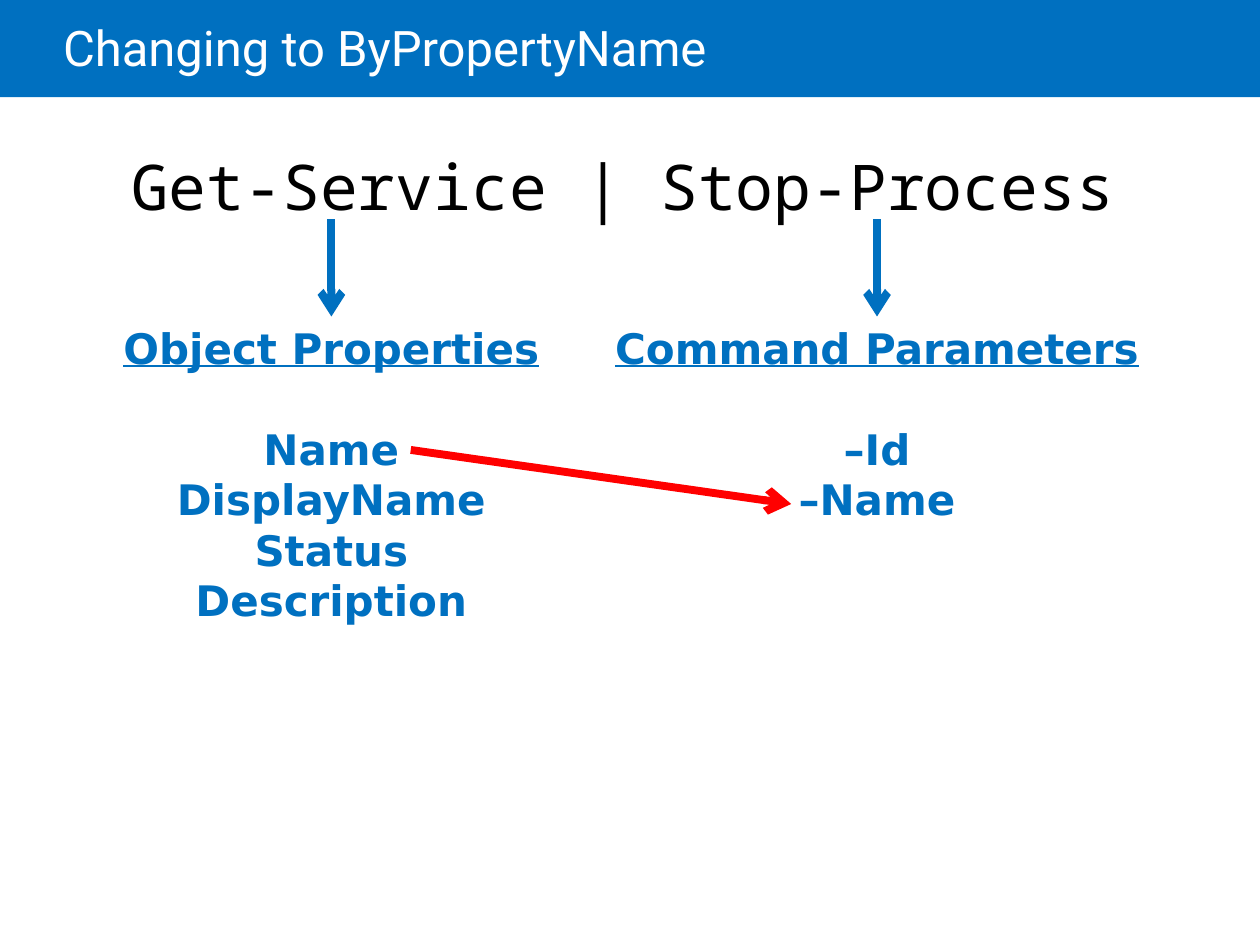
import pptx
import pptx.util
import pptx.dml.color
import pptx.enum.shapes
import pptx.enum.text
import pptx.oxml
import pptx.oxml.ns
from pptx.util import Cm, Pt

# Content
TITLE = "Changing to ByPropertyName"
COMMAND = "Get-Service | Stop-Process"
# heading, entries, left, width, height (cm)
COLUMNS = [
    ("Object Properties", ["Name", "DisplayName", "Status", "Description"], 1.68, 10.0, 6.4),
    ("Command Parameters", ["–Id", "–Name"], 11.68, 12.0, 4.37),
]
COLORS = {"blue": "0070C0", "white": "FFFFFF", "black": "000000", "red": "FF0000"}
COLUMN_TOP, ARROW_TOP = 6.38, 4.42
MATCH_START, MATCH_END = (8.28, 9.07), (15.95, 10.16)
LINE_HEIGHT = Pt(28.8)
ALIGN = pptx.enum.text.PP_ALIGN


def color(name):
    return pptx.dml.color.RGBColor.from_string(COLORS[name])


def place(shape, left, top, width, height):
    shape.left, shape.top = Cm(left), Cm(top)
    shape.width, shape.height = Cm(width), Cm(height)


def write(para, text, font, size, ink, bold=False, underline=False, align=ALIGN.CENTER,
          before=0, after=0, spacing=1.0):
    para.alignment = align
    para.space_before, para.space_after = Pt(before), after
    para.line_spacing = spacing
    span = para.add_run()
    span.text = text
    span.font.name, span.font.size = font, Pt(size)
    span.font.bold, span.font.underline = bold, underline
    span.font.color.rgb = color(ink)


def add_arrow(page, start, end, ink):
    line = page.shapes.add_connector(
        pptx.enum.shapes.MSO_CONNECTOR.STRAIGHT, *map(Cm, start + end))
    line.line.color.rgb = color(ink)
    line.line.width = Pt(4.5)
    tail = pptx.oxml.ns.qn("a:tailEnd")
    line.line._get_or_add_ln().makeelement(tail)
    outline = line.line._get_or_add_ln()
    outline.append(outline.makeelement(tail, {"type": "arrow"}))
    properties = outline.getparent()
    properties.append(properties.makeelement(pptx.oxml.ns.qn("a:effectLst")))


def main():
    deck = pptx.Presentation()
    deck.slide_width, deck.slide_height = Cm(25.4), Cm(19.05)
    page = deck.slides.add_slide(deck.slide_layouts[1])
    title, body = page.placeholders

    # Title band, behind the title
    band = page.shapes.add_shape(
        pptx.enum.shapes.MSO_SHAPE.RECTANGLE, 0, 0, deck.slide_width, Cm(1.96))
    band.shadow.inherit = False
    band.fill.solid()
    band.fill.fore_color.rgb = color("blue")
    band.line.fill.background()
    title.element.addprevious(band.element)

    # Title
    place(title, 1.27, 0, 21.59, 2.06)
    frame = title.text_frame
    frame.margin_left = 0
    frame.vertical_anchor = pptx.enum.text.MSO_ANCHOR.MIDDLE
    frame.auto_size = pptx.enum.text.MSO_AUTO_SIZE.NONE
    write(frame.paragraphs[0], TITLE, "Roboto", 28, "white", align=ALIGN.LEFT, spacing=0.85)

    # Command line, without a bullet
    place(body, 1.27, 2.84, 22.56, 14.3)
    body.text_frame.auto_size = pptx.enum.text.MSO_AUTO_SIZE.NONE
    para = body.text_frame.paragraphs[0]
    write(para, COMMAND, "Noto Sans Mono", 36, "black", before=6)
    settings = para._p.get_or_add_pPr()
    settings.set("marL", "0")
    settings.set("indent", "0")
    settings.append(settings.makeelement(pptx.oxml.ns.qn("a:buNone")))

    # Columns, each with an arrow down to its heading
    for heading, entries, left, width, height in COLUMNS:
        box = page.shapes.add_textbox(0, 0, 0, 0)
        place(box, left, COLUMN_TOP, width, height)
        frame = box.text_frame
        frame.word_wrap = True
        style = dict(font="DejaVu Sans", size=24, ink="blue", bold=True, spacing=LINE_HEIGHT)
        write(frame.paragraphs[0], heading, underline=True, after=LINE_HEIGHT, **style)
        for entry in entries:
            write(frame.add_paragraph(), entry, **style)
        center = left + width / 2
        add_arrow(page, (center, ARROW_TOP), (center, COLUMN_TOP), "blue")

    # Matching names
    add_arrow(page, MATCH_START, MATCH_END, "red")

    deck.save("out.pptx")


if __name__ == "__main__":
    main()
